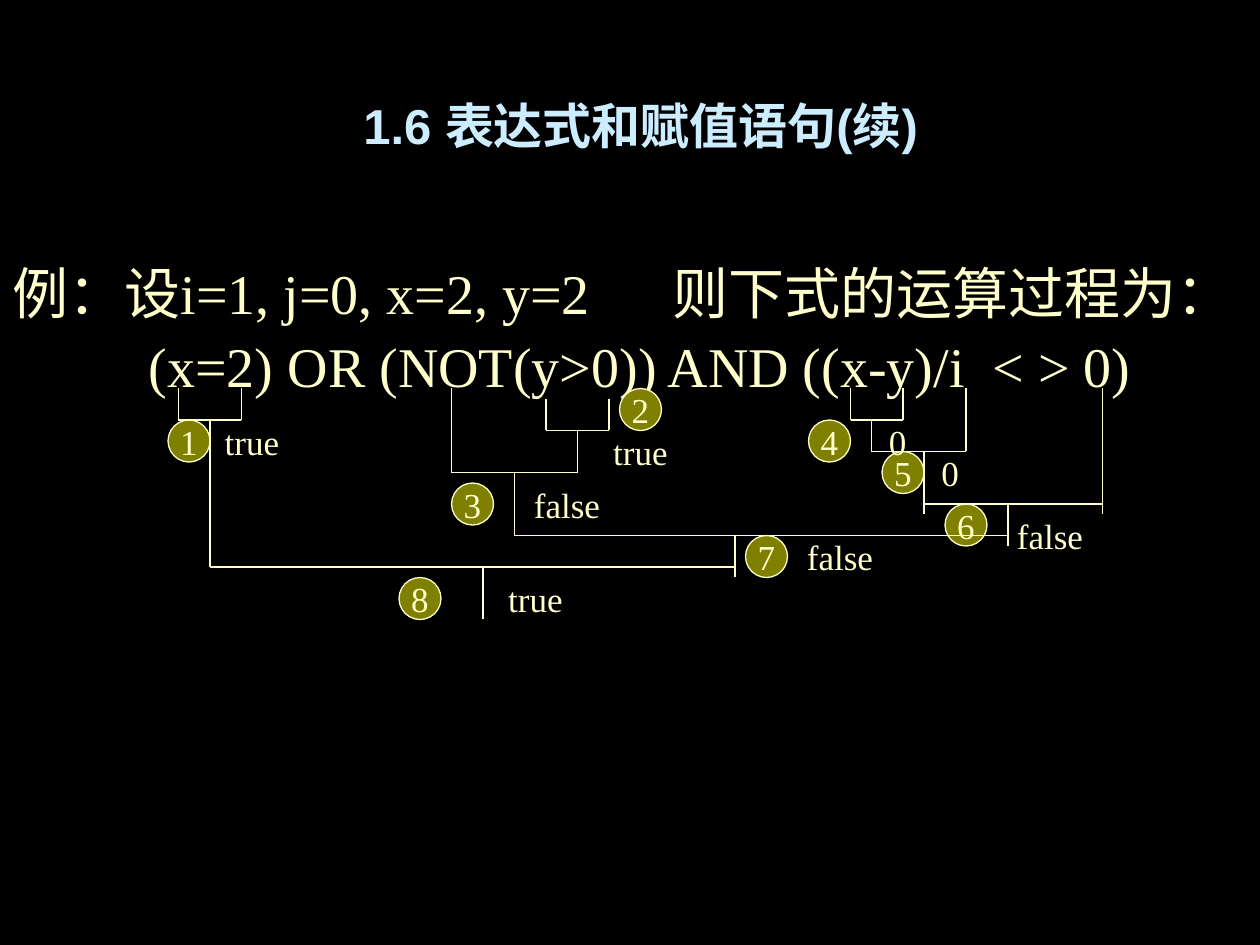
"""Build a slide that traces the evaluation order of a logical expression."""
from lxml import etree
from pptx import Presentation
from pptx.dml.color import RGBColor
from pptx.enum.shapes import MSO_CONNECTOR, MSO_SHAPE
from pptx.enum.text import MSO_ANCHOR, MSO_AUTO_SIZE, PP_ALIGN
from pptx.oxml.ns import qn
from pptx.util import Cm, Pt

CREAM, OLIVE, PALE_BLUE, BLACK = "FFFFCC", "808000", "CCECFF", "000000"
GRID = 2.54 / 12


def hex_color(value):
    """Return a colour from its hex string."""
    return RGBColor.from_string(value)


def write(shape, text, size=20, font="Times New Roman", color=CREAM, bold=False,
          align=PP_ALIGN.CENTER, anchor=MSO_ANCHOR.MIDDLE, wrap=False,
          fit=MSO_AUTO_SIZE.NONE, tab=None):
    """Put one formatted paragraph into a shape."""
    frame = shape.text_frame
    frame.auto_size = fit
    frame.word_wrap = wrap
    frame.vertical_anchor = anchor
    para = frame.paragraphs[0]
    para.alignment = align
    if tab:
        stops = etree.SubElement(para._p.get_or_add_pPr(), qn("a:tabLst"))
        etree.SubElement(stops, qn("a:tab"), pos=str(Cm(tab)), algn="l")
    span = para.add_run()
    span.text = text
    span.font.size = Pt(size)
    span.font.name = font
    span.font.bold = bold
    span.font.color.rgb = hex_color(color)


deck = Presentation()
deck.slide_width, deck.slide_height = Cm(25.4), Cm(19.05)
page = deck.slides.add_slide(deck.slide_layouts[5])
page.background.fill.solid()
page.background.fill.fore_color.rgb = hex_color(BLACK)

title = page.shapes.title
title.left, title.top, title.width, title.height = Cm(2.12), Cm(1.78), Cm(21.59), Cm(1.45)
write(title, "1.6 表达式和赋值语句(续)", size=28, font="Arial", color=PALE_BLUE, bold=True,
      anchor=MSO_ANCHOR.BOTTOM, wrap=True, fit=MSO_AUTO_SIZE.SHAPE_TO_FIT_TEXT)

statements = [
    ("例：设i=1, j=0, x=2, y=2\t则下式的运算过程为：", 0, 5.08, 25.4, 13.3),
    ("(x=2) OR (NOT(y>0)) AND ((x-y)/i  < > 0)", 2.75, 6.56, 20.96, None),
]
for text, left, top, width, tab in statements:
    box = page.shapes.add_textbox(Cm(left), Cm(top), Cm(width), Cm(1.63))
    write(box, text, size=32, align=PP_ALIGN.LEFT, anchor=MSO_ANCHOR.TOP, wrap=True,
          fit=MSO_AUTO_SIZE.SHAPE_TO_FIT_TEXT, tab=tab)

badges = [(16, 40), (59, 37), (43, 46), (77, 40), (84, 43), (90, 48), (71, 51), (38, 55)]
for number, (left, top) in enumerate(badges, start=1):
    badge = page.shapes.add_shape(MSO_SHAPE.OVAL, Cm(left * GRID), Cm(top * GRID),
                                  Cm(4 * GRID), Cm(4 * GRID))
    badge.shadow.inherit = False
    badge.fill.solid()
    badge.fill.fore_color.rgb = hex_color(OLIVE)
    badge.line.color.rgb = hex_color(CREAM)
    badge.line.width = Pt(0.75)
    write(badge, str(number))

brackets = [
    ((17, 37, 40), (23, 37, 40), 40),
    ((52, 38, 41), (58, 38, 41), 41),
    ((43, 37, 45), (55, 41, 45), 45),
    ((81, 37, 40), (86, 37, 40), 40),
    ((83, 40, 43), (92, 37, 43), 43),
    ((88, 43, 49), (105, 37, 49), 48),
    ((49, 45, 51), (96, 48, 52), 51),
    ((20, 40, 54), (70, 51, 55), 54),
]
strokes = [(46, 54, 46, 59)]
for left_arm, right_arm, level in brackets:
    strokes += [(x, top, x, bottom) for x, top, bottom in (left_arm, right_arm)]
    strokes.append((left_arm[0], level, right_arm[0], level))
for stroke in strokes:
    line = page.shapes.add_connector(MSO_CONNECTOR.STRAIGHT, *[Cm(n * GRID) for n in stroke])
    line.line.color.rgb = hex_color(CREAM)
    line.line.width = Pt(0.75)
    etree.SubElement(line._element.spPr, qn("a:effectLst"))

results = [
    ("true", 20, 40, 8), ("true", 57, 41, 8), ("false", 50, 46, 8), ("0", 83, 40, 5),
    ("0", 88, 43, 5), ("false", 96, 49, 8), ("false", 76, 51, 8), ("true", 47, 55, 8),
]
for text, left, top, width in results:
    label = page.shapes.add_textbox(Cm(left * GRID), Cm(top * GRID),
                                    Cm(width * GRID), Cm(4 * GRID))
    write(label, text)

deck.save("out.pptx")
